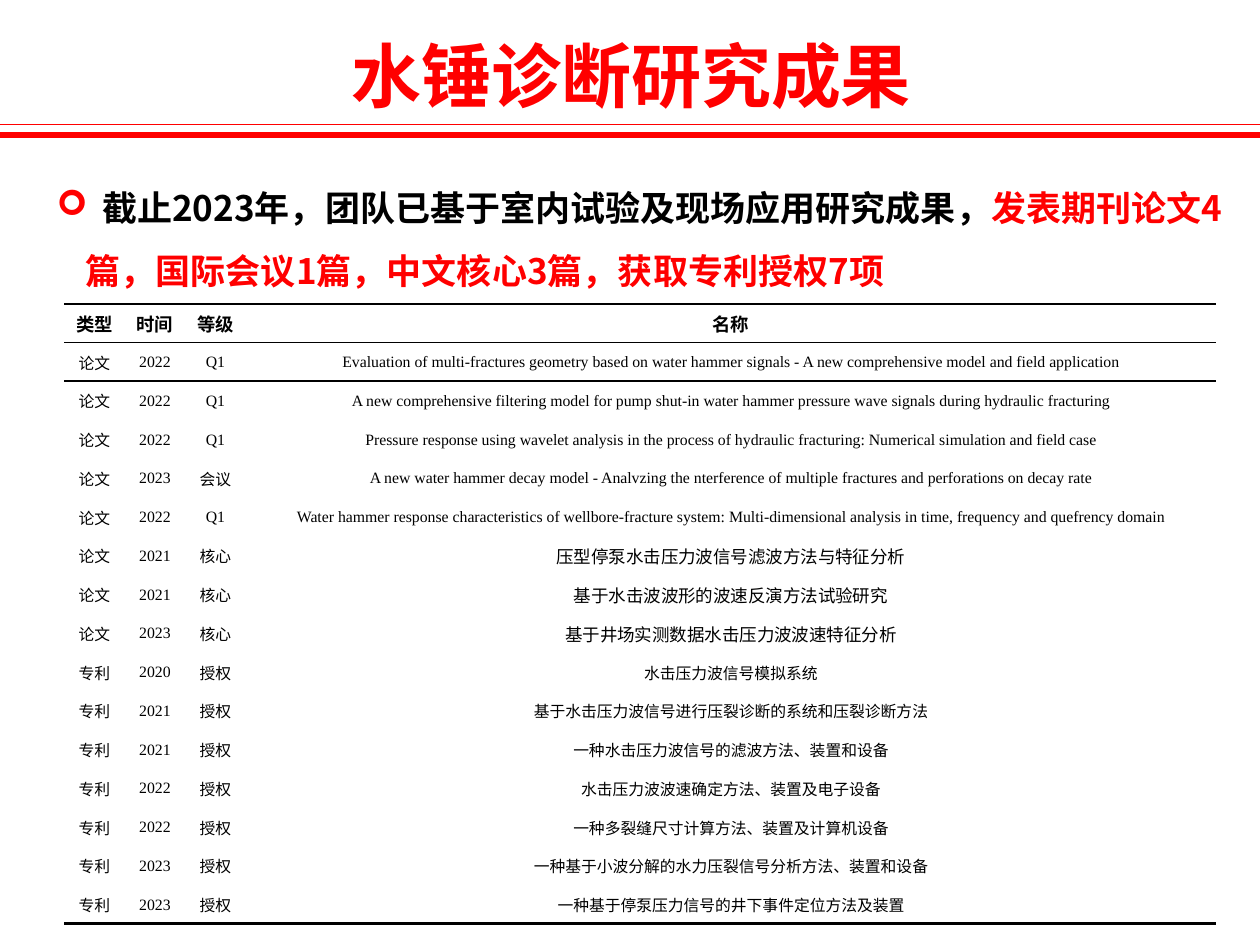
from dataclasses import dataclass

from lxml import etree
from pptx import Presentation
from pptx.dml.color import RGBColor
from pptx.enum.shapes import MSO_CONNECTOR
from pptx.enum.text import MSO_ANCHOR, MSO_AUTO_SIZE, PP_ALIGN
from pptx.oxml.ns import qn
from pptx.util import Inches, Pt

STRAIGHT = MSO_CONNECTOR.STRAIGHT
TOP, MIDDLE = MSO_ANCHOR.TOP, MSO_ANCHOR.MIDDLE
FIXED = MSO_AUTO_SIZE.NONE
LEFT, CENTER = PP_ALIGN.LEFT, PP_ALIGN.CENTER
PLAIN_TABLE = "{2D5ABB26-0587-4C30-8999-92F81FD0307C}"
WIDTH, HEIGHT = 10, 7.5
GRID_COLS, GRID_ROWS = 100, 75


@dataclass(frozen=True)
class Theme:
    accent: str = "FF0000"
    ink: str = "000000"
    heading_font: str = "Noto Sans CJK SC"
    table_font: str = "Times New Roman"
    title: float = 40
    body: float = 20
    table_head: float = 10.5
    table_cell: float = 9
    table_core: float = 10
    thin: float = 0.75
    thick: float = 3.25
    head_rule: float = 1
    outer_rule: float = 1.5


def add_xml(parent, tag, **attrs):
    return etree.SubElement(parent, qn(tag), attrs)


class Deck:
    """Theme and current slide; lengths are in cells of a 100 by 75 grid."""

    def __init__(self, theme):
        self.theme = theme
        self.prs = Presentation()
        self.prs.slide_width, self.prs.slide_height = Inches(WIDTH), Inches(HEIGHT)
        self.s = self.prs.slides.add_slide(self.prs.slide_layouts[1])

    def x(self, cols):
        return round(self.prs.slide_width * cols / GRID_COLS)

    def y(self, rows):
        return round(self.prs.slide_height * rows / GRID_ROWS)

    def box(self, left, top, width, height):
        return self.x(left), self.y(top), self.x(width), self.y(height)

    def run(self, p, text, size, color, font, bold=False):
        r = p.add_run()
        r.text = text
        formats = {"size": Pt(size), "bold": bold, "name": font}
        for name, value in formats.items():
            setattr(r.font, name, value)
        r.font.color.rgb = RGBColor.from_string(color)
        add_xml(r._r.get_or_add_rPr(), "a:ea", typeface=self.theme.heading_font)

    def placeholder(self, sp, box, align):
        """Move a placeholder and return its first paragraph."""
        for name, value in zip(("left", "top", "width", "height"), self.box(*box)):
            setattr(sp, name, value)
        tf = sp.text_frame
        formats = {"word_wrap": True, "auto_size": FIXED, "vertical_anchor": TOP}
        for name, value in formats.items():
            setattr(tf, name, value)
        p = tf.paragraphs[0]
        p.alignment = align
        p.space_before = Pt(0)
        return p

    def title(self, text, box):
        t = self.theme
        p = self.placeholder(self.s.shapes.title, box, CENTER)
        self.run(p, text, t.title, t.accent, t.heading_font, True)

    def bullet(self, parts, box, indent, tab):
        """Fill the body with one bullet of (text, colour) parts."""
        t = self.theme
        p = self.placeholder(self.s.placeholders[1], box, LEFT)
        p.line_spacing = 1.5
        pPr = p._p.get_or_add_pPr()
        pPr.set("marL", str(self.x(indent)))
        pPr.set("indent", str(-self.x(indent)))
        add_xml(add_xml(pPr, "a:buClr"), "a:srgbClr", val=t.accent)
        add_xml(pPr, "a:buFont", typeface="Wingdings")
        add_xml(pPr, "a:buChar", char="➢")
        add_xml(add_xml(pPr, "a:tabLst"), "a:tab", pos=str(self.x(tab)), algn="l")
        for text, color in parts:
            self.run(p, text, t.body, color, t.heading_font, True)

    def rule(self, row, width):
        """Draw a line across the whole slide."""
        y = self.y(row)
        line = self.s.shapes.add_connector(STRAIGHT, 0, y, self.x(GRID_COLS), y)
        line.line.color.rgb = RGBColor.from_string(self.theme.accent)
        line.line.width = Pt(width)
        add_xml(line._element.spPr, "a:effectLst")

    def border(self, cell, tag, width):
        ln = add_xml(cell._tc.get_or_add_tcPr(), tag, w=str(Pt(width)))
        add_xml(add_xml(ln, "a:solidFill"), "a:srgbClr", val=self.theme.ink)

    def cell(self, cell, text, size, bold, borders):
        margins = dict.fromkeys(("margin_left", "margin_top", "margin_right"), Inches(0.01))
        formats = {**margins, "margin_bottom": 0, "vertical_anchor": MIDDLE}
        for name, value in formats.items():
            setattr(cell, name, value)
        for tag, width in borders.items():
            self.border(cell, tag, width)
        cell.fill.background()
        p = cell.text_frame.paragraphs[0]
        p.alignment = CENTER
        self.run(p, text, size, self.theme.ink, self.theme.table_font, bold)

    def table(self, rows, box, col_widths):
        t = self.theme
        frame = self.s.shapes.add_table(len(rows), len(col_widths), *self.box(*box))
        table = frame.table
        table.first_row = table.horz_banding = False
        table._tbl.tblPr.find(qn("a:tableStyleId")).text = PLAIN_TABLE
        for column, width in zip(table.columns, col_widths):
            column.width = self.x(width)
        borders = {
            0: {"a:lnT": t.outer_rule, "a:lnB": t.head_rule},
            1: {"a:lnT": t.head_rule},
            len(rows) - 1: {"a:lnB": t.outer_rule},
        }
        for i, row in enumerate(rows):
            for j, text in enumerate(row):
                size = t.table_head if i == 0 else t.table_cell
                if j == 3 and row[2] == "核心":
                    size = t.table_core
                self.cell(table.cell(i, j), text, size, i == 0, borders.get(i, {}))


HEADER = ("类型", "时间", "等级", "名称")
PAPERS = [
    ("2022", "Q1", "Evaluation of multi-fractures geometry based on water hammer signals"
     " - A new comprehensive model and field application"),
    ("2022", "Q1", "A new comprehensive filtering model for pump shut-in water hammer"
     " pressure wave signals during hydraulic fracturing"),
    ("2022", "Q1", "Pressure response using wavelet analysis in the process of hydraulic"
     " fracturing: Numerical simulation and field case"),
    ("2023", "会议", "A new water hammer decay model - Analvzing the nterference of"
     " multiple fractures and perforations on decay rate"),
    ("2022", "Q1", "Water hammer response characteristics of wellbore-fracture system:"
     " Multi-dimensional analysis in time, frequency and quefrency domain"),
    ("2021", "核心", "压型停泵水击压力波信号滤波方法与特征分析"),
    ("2021", "核心", "基于水击波波形的波速反演方法试验研究"),
    ("2023", "核心", "基于井场实测数据水击压力波波速特征分析"),
]
PATENTS = [
    ("2020", "水击压力波信号模拟系统"),
    ("2021", "基于水击压力波信号进行压裂诊断的系统和压裂诊断方法"),
    ("2021", "一种水击压力波信号的滤波方法、装置和设备"),
    ("2022", "水击压力波波速确定方法、装置及电子设备"),
    ("2022", "一种多裂缝尺寸计算方法、装置及计算机设备"),
    ("2023", "一种基于小波分解的水力压裂信号分析方法、装置和设备"),
    ("2023", "一种基于停泵压力信号的井下事件定位方法及装置"),
]


def main():
    theme = Theme()
    deck = Deck(theme)
    deck.rule(9.9, theme.thin)
    deck.rule(10.7, theme.thick)
    deck.title("水锤诊断研究成果", (0.1, 2.1, 100, 7.7))
    summary = [
        ("\t截止2023年，团队已基于室内试验及现场应用研究成果，", theme.ink),
        ("发表期刊论文4篇，国际会议1篇，中文核心3篇，获取专利授权7项", theme.accent),
    ]
    deck.bullet(summary, (3.5, 12.6, 94.7, 11.1), indent=2.3, tab=3.6)
    papers = [("论文", *paper) for paper in PAPERS]
    patents = [("专利", year, "授权", name) for year, name in PATENTS]
    deck.table([HEADER, *papers, *patents], (5.1, 24.1, 91.3, 49.2), (4.8, 4.8, 4.8, 77))
    deck.prs.save("out.pptx")


if __name__ == "__main__":
    main()
